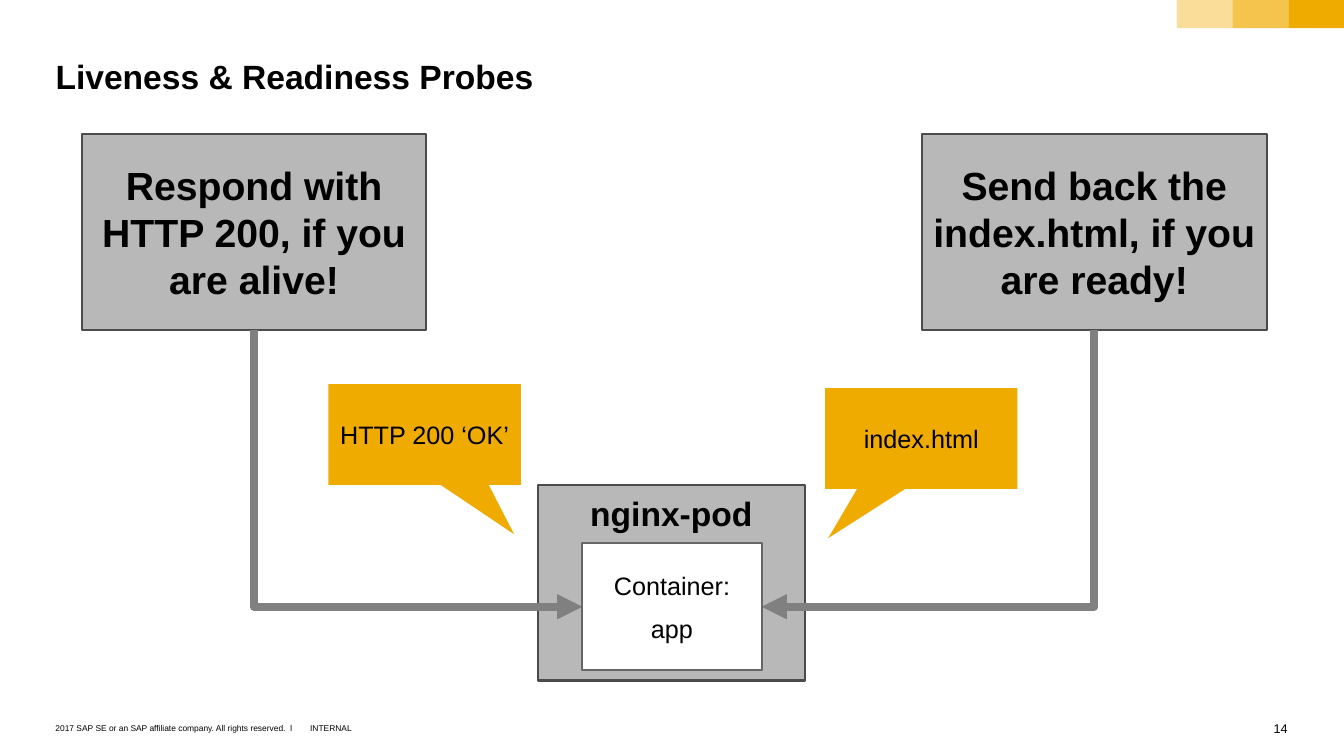
"""Build the slide on liveness and readiness probes."""
from dataclasses import dataclass

from lxml import etree
from pptx import Presentation
from pptx.dml.color import RGBColor
from pptx.enum import shapes, text
from pptx.oxml.ns import qn
from pptx.util import Cm, Pt

BLACK = RGBColor(0x00, 0x00, 0x00)
WHITE = RGBColor(0xFF, 0xFF, 0xFF)
AMBER = RGBColor(0xF0, 0xAB, 0x00)
SILVER = RGBColor(0xB8, 0xB8, 0xB8)
CHARCOAL = RGBColor(0x4B, 0x4B, 0x4B)
BORDER = RGBColor(0x66, 0x66, 0x66)
ARROW = RGBColor(0x80, 0x80, 0x80)
RECT = shapes.MSO_SHAPE.RECTANGLE
CALLOUT = shapes.MSO_SHAPE.RECTANGULAR_CALLOUT
TOP, MIDDLE = text.MSO_ANCHOR.TOP, text.MSO_ANCHOR.MIDDLE
LEFT, CENTER, RIGHT = text.PP_ALIGN.LEFT, text.PP_ALIGN.CENTER, text.PP_ALIGN.RIGHT


@dataclass
class Box:
    """A filled shape with centred text; lengths are in centimetres."""
    left: float
    top: float
    width: float
    height: float
    fill: RGBColor
    words: str = ""
    size: int = 18
    bold: bool = False
    line: RGBColor | None = None
    kind: shapes.MSO_SHAPE = RECT
    anchor: text.MSO_ANCHOR = MIDDLE
    tip: tuple[float, float] | None = None


@dataclass
class Note:
    """A small line at the foot of the slide; lengths are in centimetres."""
    left: float
    top: float
    width: float
    height: float
    words: str
    size: int
    align: text.PP_ALIGN = LEFT
    wrap: bool = False
    bullet: str = ""


POD = Box(13.56, 12.22, 6.73, 4.93, SILVER, "nginx-pod", 24, True, CHARCOAL, anchor=TOP)
LIVENESS = Box(2.06, 3.38, 8.69, 4.93, SILVER,
               "Respond with HTTP 200, if you are alive!", 28, True, CHARCOAL)
READINESS = Box(23.24, 3.38, 8.69, 4.93, SILVER,
                "Send back the index.html, if you are ready!", 28, True, CHARCOAL)
CONTAINER = Box(14.68, 13.69, 4.52, 3.2, WHITE, "Container:\napp", line=BORDER)
REPLIES = [
    Box(8.28, 9.68, 4.85, 2.54, AMBER, "HTTP 200 ‘OK’", kind=CALLOUT, tip=(0.465, 0.989)),
    Box(20.8, 9.78, 4.85, 2.54, AMBER, "index.html", kind=CALLOUT, tip=(-0.484, 0.989)),
]
NOTES = [
    Note(32.08, 18.16, 0.38, 0.38, "14", 9, RIGHT),
    Note(7.82, 18.21, 1.07, 0.25, "INTERNAL", 6),
    Note(1.4, 18.21, 6.3, 0.25,
         "2017 SAP SE or an SAP affiliate company. All rights reserved.  ǀ",
         6, wrap=True, bullet="©"),
]


def style_text(frame, words: str, size: int, bold: bool = False,
               align: text.PP_ALIGN = CENTER) -> None:
    """Fill a text frame and format its runs."""
    frame.text = words
    for index, para in enumerate(frame.paragraphs):
        para.alignment = align
        para.space_before = Pt(size / 2 if index else 0)
        for span in para.runs:
            span.font.name = "Arial"
            span.font.size = Pt(size)
            span.font.bold = bold
            span.font.color.rgb = BLACK


def set_margins(frame, across: float, down: float) -> None:
    """Set the side and the top and bottom margins of a text frame."""
    frame.margin_left = frame.margin_right = Cm(across)
    frame.margin_top = frame.margin_bottom = Cm(down)


def draw_box(page, box: Box):
    """Draw one box with its fill, line and text."""
    shape = page.shapes.add_shape(box.kind, Cm(box.left), Cm(box.top),
                                  Cm(box.width), Cm(box.height))
    shape.shadow.inherit = False
    shape.fill.solid()
    shape.fill.fore_color.rgb = box.fill
    if box.line is None:
        shape.line.fill.background()
    else:
        shape.line.color.rgb = box.line
        shape.line.width = Pt(1.5)
    if box.tip:
        shape.adjustments[0], shape.adjustments[1] = box.tip
    if box.words:
        frame = shape.text_frame
        frame.word_wrap = True
        frame.vertical_anchor = box.anchor
        set_margins(frame, 0.25, 0.2)
        style_text(frame, box.words, box.size, box.bold)
    return shape


def draw_stripes(page) -> None:
    """Draw the three corner stripes, from pale to full colour."""
    for index, opacity in enumerate((40, 70, 100)):
        stripe = draw_box(page, Box(29.67 + 1.41 * index, 0, 1.41, 0.71, AMBER))
        color = stripe.fill._xPr.find(qn("a:solidFill"))[0]
        etree.SubElement(color, qn("a:alpha"), val=str(opacity * 1000))


def draw_note(page, note: Note) -> None:
    """Draw one foot line, with a bullet if it has one."""
    frame = page.shapes.add_textbox(Cm(note.left), Cm(note.top),
                                    Cm(note.width), Cm(note.height)).text_frame
    frame.word_wrap = note.wrap
    set_margins(frame, 0, 0)
    if note.bullet:
        props = frame.paragraphs[0]._p.get_or_add_pPr()
        props.set("marL", str(Cm(0.23)))
        props.set("indent", str(-Cm(0.23)))
        etree.SubElement(props, qn("a:buFont"), typeface="Arial")
        etree.SubElement(props, qn("a:buChar"), char=note.bullet)
    style_text(frame, note.words, note.size, align=note.align)


def draw_probe_arrow(page, probe: Box, target: Box) -> None:
    """Draw an arrow down from a probe and across to the near side of the target."""
    rightward = probe.left < target.left
    start_x = probe.left + probe.width / 2
    start_y = probe.top + probe.height
    end_x = target.left if rightward else target.left + target.width
    end_y = target.top + target.height / 2
    middle_x, middle_y = (start_x + end_x) / 2, (start_y + end_y) / 2
    half_width, half_height = (end_y - start_y) / 2, abs(end_x - start_x) / 2
    sides = [Cm(middle_x - half_width), Cm(middle_x + half_width)]
    begin_x, finish_x = sides[::-1] if rightward else sides
    arrow = page.shapes.add_connector(shapes.MSO_CONNECTOR.ELBOW,
                                      begin_x, Cm(middle_y - half_height),
                                      finish_x, Cm(middle_y + half_height))
    arrow.line.color.rgb = ARROW
    arrow.line.width = Pt(6)
    props = arrow._element.spPr
    props.find(qn("a:xfrm")).set("rot", str((270 if rightward else 90) * 60000))
    props.find(qn("a:prstGeom")).set("prst", "bentConnector2")
    line = props.find(qn("a:ln"))
    etree.SubElement(line, qn("a:round"))
    etree.SubElement(line, qn("a:tailEnd"), type="triangle")
    etree.SubElement(props, qn("a:effectLst"))


def draw_title(page) -> None:
    """Place and format the slide title."""
    title = page.shapes.title
    title.left, title.top, title.width, title.height = Cm(1.4), Cm(1.4), Cm(31.06), Cm(1.02)
    frame = title.text_frame
    frame.vertical_anchor = TOP
    frame.word_wrap = True
    set_margins(frame, 0, 0)
    style_text(frame, "Liveness & Readiness Probes", 24, True, LEFT)


def main() -> None:
    """Build and save the deck."""
    deck = Presentation()
    deck.slide_width, deck.slide_height = Cm(33.88), Cm(19.05)
    page = deck.slides.add_slide(deck.slide_layouts[5])
    for note in NOTES:
        draw_note(page, note)
    draw_stripes(page)
    draw_title(page)
    for box in (POD, *REPLIES, LIVENESS, READINESS):
        draw_box(page, box)
    for probe in (LIVENESS, READINESS):
        draw_probe_arrow(page, probe, CONTAINER)
    draw_box(page, CONTAINER)
    deck.save("out.pptx")


if __name__ == "__main__":
    main()
